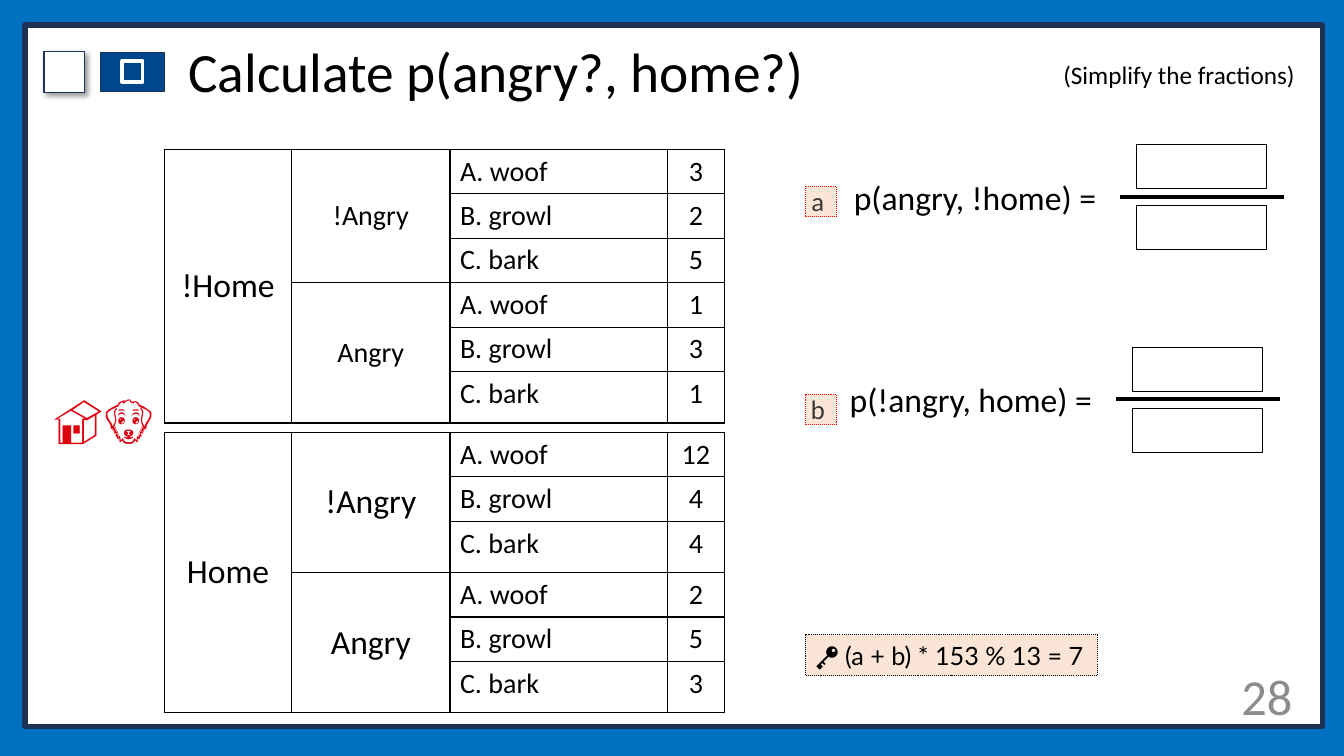
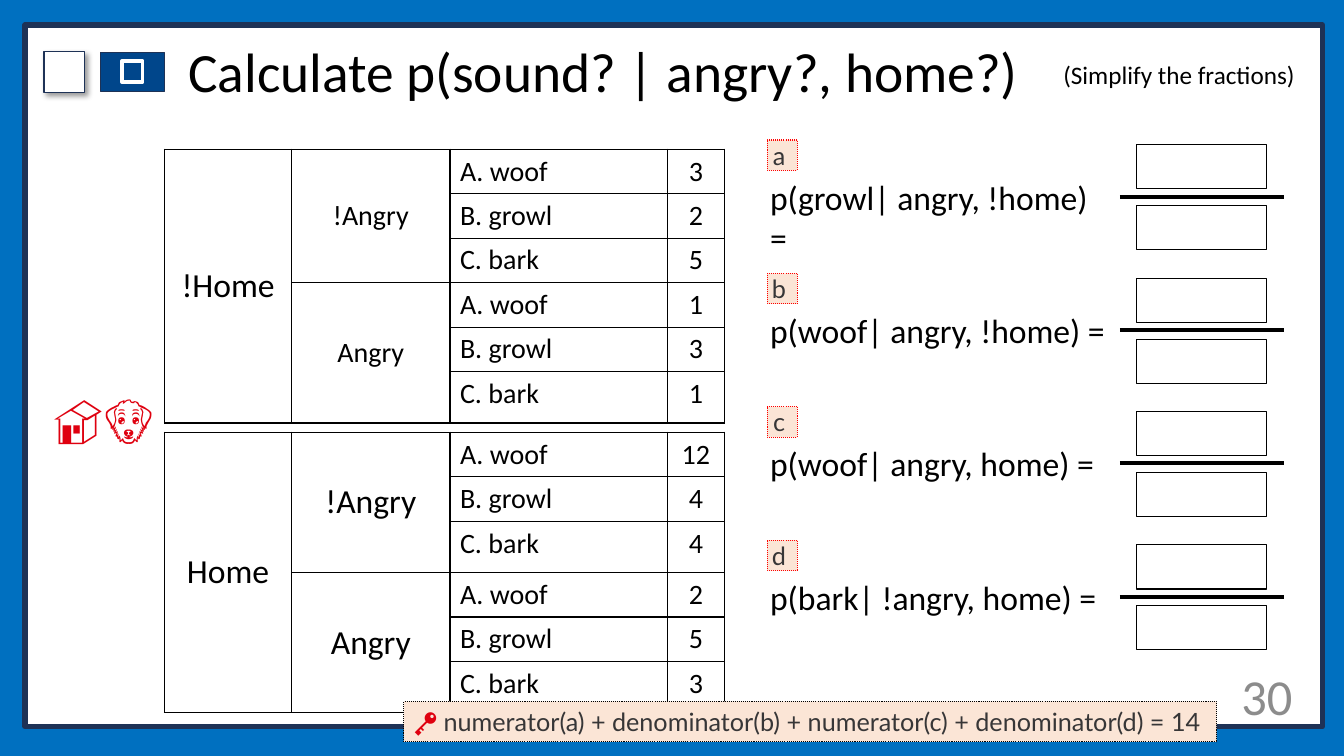
import pptx
import pptx.dml.color
import pptx.enum.dml
import pptx.enum.shapes
import pptx.enum.text
import pptx.oxml
import pptx.oxml.ns
import pptx.util
from lxml import etree

Pt = pptx.util.Pt
ALIGN = pptx.enum.text.PP_ALIGN
ANCHOR = pptx.enum.text.MSO_ANCHOR
COLORS = {
    "background": "0070C0", "paper": "FFFFFF", "navy": "1E3256", "badge": "00468B",
    "ink": "000000", "dark": "373637", "gray": "8C8C8C", "red": "DF000F",
    "tag_line": "FF0000", "tag_fill": "FBE5D6",
}
BODY, ACCENT = "Calibri", "Lato"
BAR_LEFT, FIRST_BAR, BAR_STEP = 800, 140.5, 95.25
TABLE_LEFT = 117.4
COLUMNS = (91, 113, 155.5, 40.5)
ROW, TALL_ROW = 31.8, 36.6
SOUNDS = ("A. woof", "B. growl", "C. bark")
# location, top, size of the mood labels, counts for !Angry and Angry
TABLES = (
    ("!Home", 106.6, 20, ((3, 2, 5), (1, 3, 1))),
    ("Home", 308.8, 24, ((12, 4, 4), (2, 5, 3))),
)


def rgb(name):
    return pptx.dml.color.RGBColor.from_string(COLORS[name])


def style(paragraph, size, color="ink", font=BODY, align=None):
    paragraph.font.size = Pt(size)
    paragraph.font.name = font
    paragraph.font.color.rgb = rgb(color)
    paragraph.alignment = align


def add_box(shapes, at, fill=None, line="ink", width=0.75):
    box = shapes.add_shape(pptx.enum.shapes.MSO_SHAPE.RECTANGLE, *map(Pt, at))
    box.shadow.inherit = False
    if fill:
        box.fill.solid()
        box.fill.fore_color.rgb = rgb(fill)
    else:
        box.fill.background()
    box.line.color.rgb = rgb(line)
    box.line.width = Pt(width)
    return box


def add_text(shapes, at, text, size, color="ink", font=BODY, align=None,
             anchor=ANCHOR.TOP, wrap=True):
    box = shapes.add_textbox(*map(Pt, at))
    frame = box.text_frame
    frame.word_wrap = wrap
    frame.vertical_anchor = anchor
    paragraph = frame.paragraphs[0]
    paragraph.text = text
    style(paragraph, size, color, font, align)
    return paragraph


def add_soft_shadow(shape):
    effects = shape._element.spPr.find(pptx.oxml.ns.qn("a:effectLst"))
    effects.append(pptx.oxml.parse_xml(
        f'<a:outerShdw {pptx.oxml.ns.nsdecls("a")} blurRad="{Pt(4)}" dist="{Pt(3)}" '
        'dir="2700000" algn="tl" rotWithShape="0">'
        f'<a:srgbClr val="{COLORS["ink"]}"><a:alpha val="40000"/></a:srgbClr></a:outerShdw>'))


def add_base(deck, title, number):
    """Add a slide with the shared frame, badges, title and page number."""
    slide = deck.slides.add_slide(deck.slide_layouts[6])
    shapes = slide.shapes
    slide.background.fill.solid()
    slide.background.fill.fore_color.rgb = rgb("background")
    add_box(shapes, (18, 18, 926.6, 501), "paper", "navy", 4)
    badge = shapes.add_group_shape().shapes
    add_box(badge, (72, 37.5, 45.4, 28), "badge", "navy", 1)
    add_box(badge, (87, 43.5, 15, 15), "badge", "paper", 2.5)
    add_soft_shadow(add_box(shapes, (31.5, 37, 29, 29), "paper", "navy", 1))
    heading = add_text(shapes, (127.4, 28.8, 767, 49), title, 39.6, anchor=ANCHOR.MIDDLE)
    heading.line_spacing = 0.9
    add_text(shapes, (752.4, 38.9, 182, 29), "(Simplify the fractions)", 18, wrap=False)
    add_text(shapes, (840.2, 465.8, 90, 62), number, 36, "gray",
             align=ALIGN.RIGHT, anchor=ANCHOR.MIDDLE)
    return slide


def set_borders(cell):
    properties = cell._tc.get_or_add_tcPr()
    for index, side in enumerate("LRTB"):
        properties.insert(index, pptx.oxml.parse_xml(
            f'<a:ln{side} {pptx.oxml.ns.nsdecls("a")} w="{Pt(1)}"><a:solidFill>'
            f'<a:srgbClr val="{COLORS["ink"]}"/></a:solidFill></a:ln{side}>'))


def fill_cell(cell, text, size, align=ALIGN.CENTER, anchor=ANCHOR.TOP):
    cell.text = text
    cell.vertical_anchor = anchor
    style(cell.text_frame.paragraphs[0], size, align=align)


def add_counts(shapes, location, top, mood_size, counts):
    heights = [ROW, ROW, TALL_ROW if mood_size > 20 else ROW, ROW, ROW, TALL_ROW]
    table = shapes.add_table(6, 4, Pt(TABLE_LEFT), Pt(top),
                             Pt(sum(COLUMNS)), Pt(sum(heights))).table
    table.first_row = table.horz_banding = False
    for column, width in zip(table.columns, COLUMNS):
        column.width = Pt(width)
    for row, height in zip(table.rows, heights):
        row.height = Pt(height)
    for cell in table.iter_cells():
        cell.fill.background()
        set_borders(cell)
    table.cell(0, 0).merge(table.cell(5, 0))
    fill_cell(table.cell(0, 0), location, 24, anchor=ANCHOR.MIDDLE)
    for first, mood, numbers in zip((0, 3), ("!Angry", "Angry"), counts):
        table.cell(first, 1).merge(table.cell(first + 2, 1))
        fill_cell(table.cell(first, 1), mood, mood_size, anchor=ANCHOR.MIDDLE)
        for row, (sound, number) in enumerate(zip(SOUNDS, numbers), first):
            fill_cell(table.cell(row, 2), sound, 20, ALIGN.LEFT)
            fill_cell(table.cell(row, 3), str(number), 20)


def add_question(shapes, text, text_left, bar_left, bar_top):
    """Add a formula followed by an empty fraction."""
    group = shapes.add_group_shape().shapes
    for offset in (-37, 6.5):
        add_box(group, (bar_left + 12, bar_top + offset, 93, 31.5))
    bar = group.add_connector(pptx.enum.shapes.MSO_CONNECTOR.STRAIGHT, Pt(bar_left),
                              Pt(bar_top), Pt(bar_left + 117), Pt(bar_top))
    bar.line.color.rgb = rgb("ink")
    bar.line.width = Pt(3)
    etree.SubElement(bar._element.spPr, pptx.oxml.ns.qn("a:effectLst"))
    add_text(group, (text_left, bar_top - 18, bar_left - text_left, 36), text, 24)


def add_dotted_box(shapes, at, line):
    box = add_box(shapes, at, "tag_fill", line)
    box.line.dash_style = pptx.enum.dml.MSO_LINE.ROUND_DOT
    box.text_frame.word_wrap = True
    box.text_frame.vertical_anchor = ANCHOR.TOP
    return box.text_frame


def add_letter(shapes, letter, left, top):
    frame = add_dotted_box(shapes, (left, top, 21.6, 21.8), "tag_line")
    frame.margin_left = frame.margin_right = frame.margin_top = frame.margin_bottom = 0
    frame.paragraphs[0].text = letter + " "
    style(frame.paragraphs[0], 18, "dark", ACCENT, ALIGN.CENTER)


def add_key(shapes, at, formula, key_color, color):
    paragraph = add_dotted_box(shapes, at, "ink").paragraphs[0]
    style(paragraph, 18, color, ACCENT, ALIGN.LEFT)
    for text, run_color in (("🔑 ", key_color), (formula, color)):
        run = paragraph.add_run()
        run.text = text
        run.font.color.rgb = rgb(run_color)


def add_data(shapes):
    for counts in TABLES:
        add_counts(shapes, *counts)
    add_text(shapes, (30.2, 272.9, 93, 51), "🏠🐶", 36, "red", ACCENT)


def add_joint_slide(deck):
    shapes = add_base(deck, "Calculate p(angry?, home?)", "28").shapes
    add_data(shapes)
    add_question(shapes, "p(angry, !home) =", 602.8, BAR_LEFT, FIRST_BAR)
    add_question(shapes, "p(!angry, home) =", 599.8, BAR_LEFT - 3, 285)
    add_key(shapes, (575.3, 453.5, 208.8, 29), "(a + b) * 153 % 13 = 7", "ink", "ink")
    add_letter(shapes, "a", 575.7, 133.2)
    add_letter(shapes, "b", 575.7, 281.5)


def add_conditional_slide(deck):
    shapes = add_base(deck, "Calculate p(sound? | angry?, home?)", "30").shapes
    add_data(shapes)
    questions = ("p(growl| angry, !home) =", "p(woof| angry, !home) =",
                 "p(woof| angry, home) =", "p(bark| !angry, home) =")
    for index, (letter, question) in enumerate(zip("abcd", questions)):
        bar_top = FIRST_BAR + index * BAR_STEP
        add_question(shapes, question, 543, BAR_LEFT, bar_top)
        add_letter(shapes, letter, 548, bar_top - 40.5)
    add_key(shapes, (288.5, 501, 580.5, 29),
            "numerator(a) + denominator(b) + numerator(c) + denominator(d) = 14",
            "red", "dark")


def main():
    deck = pptx.Presentation()
    deck.slide_width, deck.slide_height = Pt(960), Pt(540)
    add_joint_slide(deck)
    add_conditional_slide(deck)
    deck.save("out.pptx")


if __name__ == "__main__":
    main()
